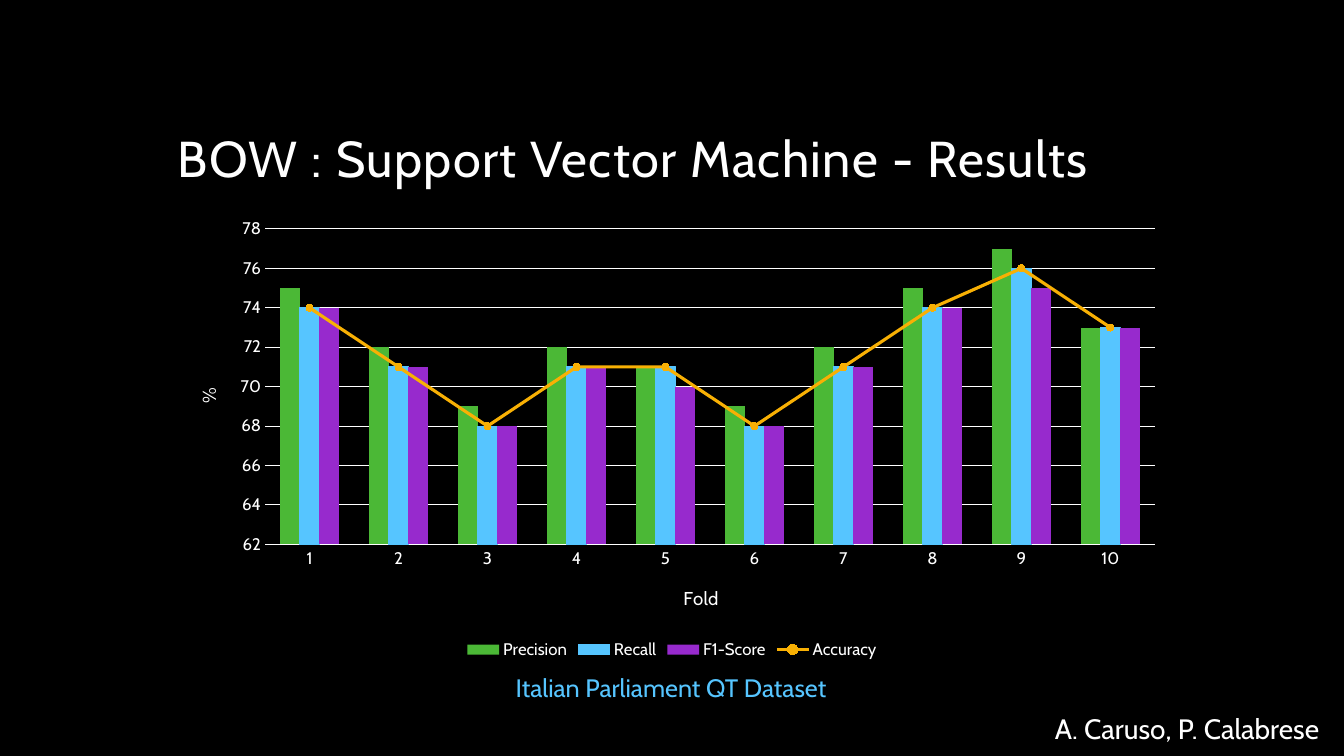
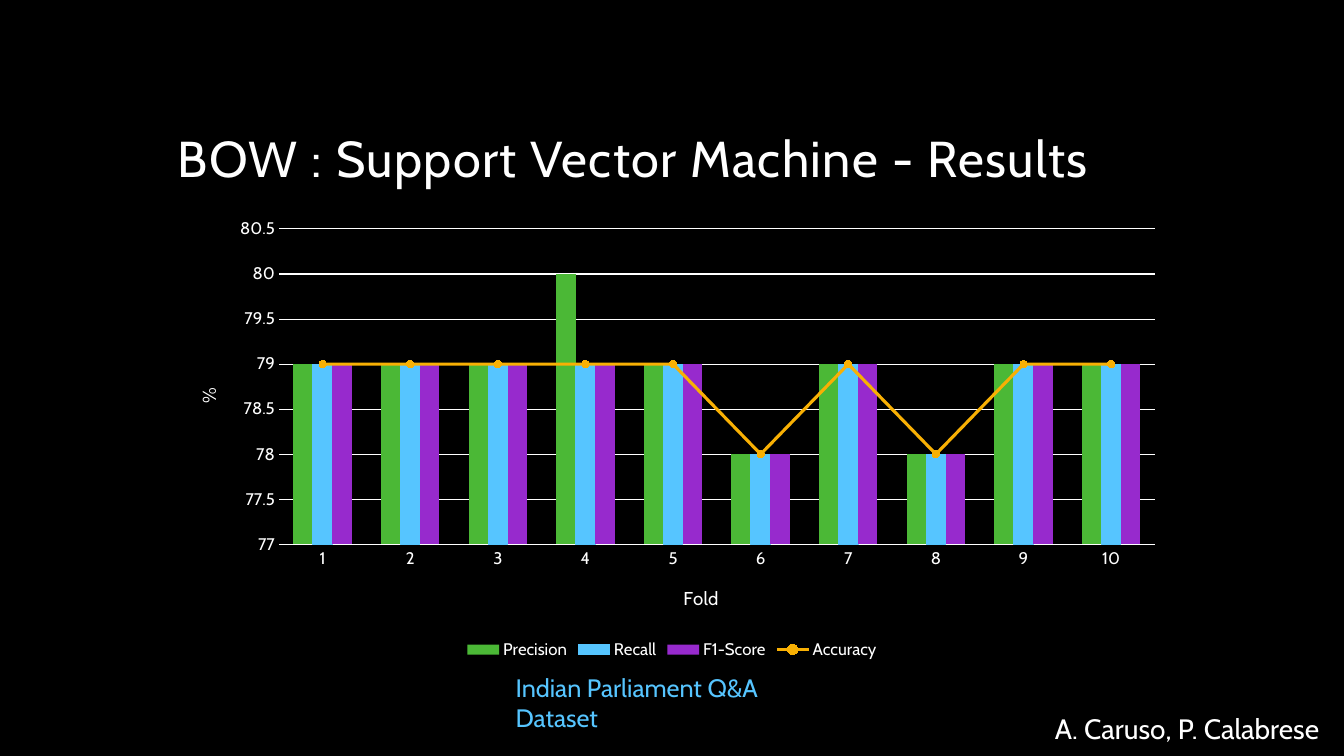
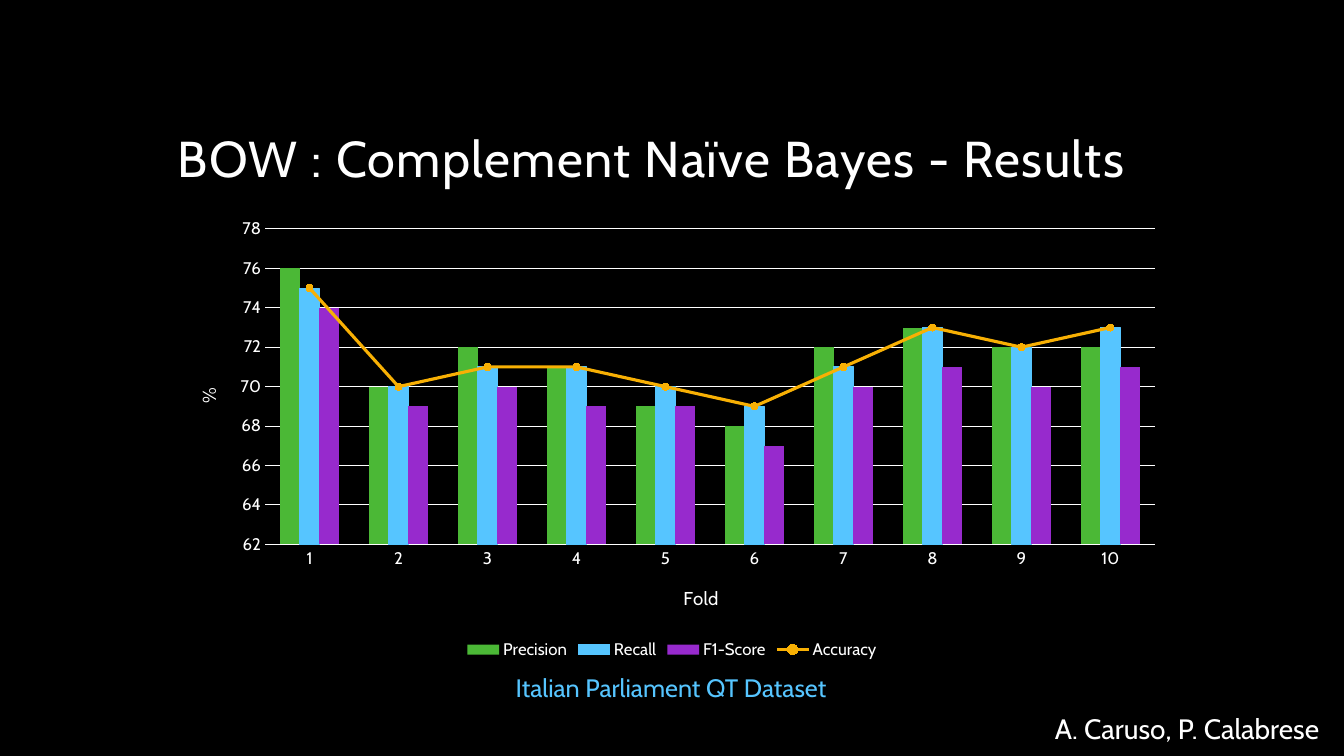
import pptx
import pptx.chart.data
import pptx.dml.color
import pptx.enum.chart
import pptx.enum.text
import pptx.oxml
import pptx.oxml.ns
import pptx.util

RGBColor = pptx.dml.color.RGBColor
BLACK = RGBColor(0x00, 0x00, 0x00)
WHITE = RGBColor(0xFF, 0xFF, 0xFF)
GREEN = RGBColor(0x4B, 0xB8, 0x36)
BLUE = RGBColor(0x56, 0xC5, 0xFF)
PURPLE = RGBColor(0x97, 0x2A, 0xCD)
AMBER = RGBColor(0xF8, 0xB0, 0x04)

COLS, ROWS = 160, 90
CHART_COLS, CHART_ROWS = 120, 54
PLOT_TOP, PLOT_RIGHT, PLOT_BOTTOM = 2.26, 117.5, 39.82
FOLDS = [str(n) for n in range(1, 11)]
BAR_COLORS = {"Precision": GREEN, "Recall": BLUE, "F1-Score": PURPLE}
SVM_TITLE = "BOW : Support Vector Machine - Results"
BAYES_TITLE = "BOW : Complement Naïve Bayes - Results"
ITALIAN = "Italian Parliament QT Dataset"
INDIAN = "Indian Parliament Q&A Dataset"
AUTHORS = "A. Caruso, P. Calabrese"

RESULTS = [
    {
        "title": SVM_TITLE, "dataset": ITALIAN, "scale": (62, 78, 2), "plot_left": 11.55,
        "scores": {
            "Precision": [75, 72, 69, 72, 71, 69, 72, 75, 77, 73],
            "Recall": [74, 71, 68, 71, 71, 68, 71, 74, 76, 73],
            "F1-Score": [74, 71, 68, 71, 70, 68, 71, 74, 75, 73],
            "Accuracy": [74, 71, 68, 71, 71, 68, 71, 74, 76, 73],
        },
    },
    {
        "title": SVM_TITLE, "dataset": INDIAN, "scale": (77, 80.5, 0.5), "plot_left": 13.2,
        "scores": {
            "Precision": [79, 79, 79, 80, 79, 78, 79, 78, 79, 79],
            "Recall": [79, 79, 79, 79, 79, 78, 79, 78, 79, 79],
            "F1-Score": [79, 79, 79, 79, 79, 78, 79, 78, 79, 79],
            "Accuracy": [79, 79, 79, 79, 79, 78, 79, 78, 79, 79],
        },
    },
    {
        "title": BAYES_TITLE, "dataset": ITALIAN, "scale": (62, 78, 2), "plot_left": 11.55,
        "scores": {
            "Precision": [76, 70, 72, 71, 69, 68, 72, 73, 72, 72],
            "Recall": [75, 70, 71, 71, 70, 69, 71, 73, 72, 73],
            "F1-Score": [74, 69, 70, 69, 69, 67, 70, 71, 70, 71],
            "Accuracy": [75, 70, 71, 71, 70, 69, 71, 73, 72, 73],
        },
    },
]


def qn(tag):
    return pptx.oxml.ns.qn(tag)


def set_layout(parent, index, **values):
    for old in parent.findall(qn("c:layout")):
        parent.remove(old)
    layout = parent.makeelement(qn("c:layout"), {})
    manual = layout.makeelement(qn("c:manualLayout"), {})
    layout.append(manual)
    for tag, value in values.items():
        manual.append(manual.makeelement(qn("c:" + tag), {"val": str(value)}))
    parent.insert(index, layout)


def move_last_series_to_line(chart):
    plot_area = chart._chartSpace.chart.plotArea
    bars = plot_area.find(qn("c:barChart"))
    ser = bars.findall(qn("c:ser"))[-1]
    for invert in ser.findall(qn("c:invertIfNegative")):
        ser.remove(invert)
    line = pptx.oxml.parse_xml(
        '<c:lineChart xmlns:c="http://schemas.openxmlformats.org/drawingml/2006/chart">'
        '<c:grouping val="standard"/><c:varyColors val="0"/><c:marker val="1"/></c:lineChart>'
    )
    line.insert(2, ser)
    for axis_id in bars.findall(qn("c:axId")):
        line.append(line.makeelement(qn("c:axId"), {"val": axis_id.get("val")}))
    bars.addnext(line)


class Deck:
    font = "Cabin"

    def __init__(self):
        self.prs = pptx.Presentation()
        self.prs.slide_width = pptx.util.Inches(13.33)
        self.prs.slide_height = pptx.util.Inches(7.5)
        fill = self.prs.slide_master.background.fill
        fill.solid()
        fill.fore_color.rgb = BLACK
        self.s = None

    def grid(self, col, row, cols, rows):
        w, h = self.prs.slide_width / COLS, self.prs.slide_height / ROWS
        return [round(v) for v in (col * w, row * h, cols * w, rows * h)]

    def style(self, font, size, color=WHITE):
        font.name = self.font
        font.size = pptx.util.Pt(size)
        font.bold = False
        font.color.rgb = color

    def text(self, text, cell, size, color=WHITE, wrap=True):
        tf = self.s.shapes.add_textbox(*self.grid(*cell)).text_frame
        tf.word_wrap = wrap
        p = tf.paragraphs[0]
        r = p.add_run()
        r.text = text
        self.style(r.font, size, color)
        return tf

    def title(self, text):
        tf = self.text(text, (20, 5, 120, 18), 36)
        tf.vertical_anchor = pptx.enum.text.MSO_ANCHOR.BOTTOM
        p = tf.paragraphs[0]
        p.line_spacing = 0.9
        p.runs[0].font._element.set("spc", "100")

    def axis_title(self, axis, text, col, row, rotation=0):
        tf = axis.axis_title.text_frame
        r = tf.paragraphs[0].add_run()
        r.text = text
        self.style(r.font, 13.3)
        body = tf._txBody.find(qn("a:bodyPr"))
        body.set("rot", str(rotation * 60000))
        body.set("vert", "horz")
        set_layout(axis.axis_title._element, 1, xMode="edge", yMode="edge",
                   x=col / CHART_COLS, y=row / CHART_ROWS)

    def axis(self, axis):
        axis.major_tick_mark = pptx.enum.chart.XL_TICK_MARK.NONE
        axis.minor_tick_mark = pptx.enum.chart.XL_TICK_MARK.NONE
        self.style(axis.tick_labels.font, 12)

    def outline(self, line, color, width):
        line.color.rgb = color
        line.width = pptx.util.Pt(width)

    def paint(self, fill, color):
        fill.solid()
        fill.fore_color.rgb = color

    def chart(self, scores, scale, plot_left):
        data = pptx.chart.data.CategoryChartData()
        data.categories = FOLDS
        for name, values in scores.items():
            data.add_series(name, values)
        cell = self.grid(20, 25, CHART_COLS, CHART_ROWS)
        kind = pptx.enum.chart.XL_CHART_TYPE.COLUMN_CLUSTERED
        chart = self.s.shapes.add_chart(kind, *cell, data).chart
        move_last_series_to_line(chart)
        chart.has_title = False
        self.style(chart.font, 10)
        set_layout(chart._chartSpace.chart.plotArea, 0, layoutTarget="inner",
                   xMode="edge", yMode="edge",
                   x=plot_left / CHART_COLS, y=PLOT_TOP / CHART_ROWS,
                   w=(PLOT_RIGHT - plot_left) / CHART_COLS,
                   h=(PLOT_BOTTOM - PLOT_TOP) / CHART_ROWS)

        chart.has_legend = True
        chart.legend.position = pptx.enum.chart.XL_LEGEND_POSITION.BOTTOM
        chart.legend.include_in_layout = False
        self.style(chart.legend.font, 12)

        folds, percent = chart.category_axis, chart.value_axis
        self.axis(folds)
        self.outline(folds.format.line, WHITE, 0.75)
        self.axis_title(folds, "Fold", 60.95, 44.3)
        self.axis(percent)
        percent.format.line.fill.background()
        percent.minimum_scale, percent.maximum_scale, percent.major_unit = scale
        self.outline(percent.major_gridlines.format.line, WHITE, 0.75)
        self.axis_title(percent, "%", 2.9, 20.8, -90)

        bars, line = chart.plots
        bars.gap_width = 150
        bars.overlap = 0
        bars.vary_by_categories = False
        for ser in bars.series:
            color = BAR_COLORS[ser.name]
            self.paint(ser.format.fill, color)
            ser.format.line.fill.background()
            if ser.name == "Recall":
                self.outline(ser.format.line, color, 0.75)

        accuracy = line.series[0]
        accuracy.smooth = False
        self.outline(accuracy.format.line, AMBER, 2.25)
        marker = accuracy.marker
        marker.style = pptx.enum.chart.XL_MARKER_STYLE.CIRCLE
        marker.size = 5
        self.paint(marker.format.fill, AMBER)
        self.outline(marker.format.line, AMBER, 0.75)

    def result(self, title, dataset, scores, scale, plot_left):
        self.s = self.prs.slides.add_slide(self.prs.slide_layouts[6])
        self.title(title)
        self.chart(scores, scale, plot_left)
        self.text(AUTHORS, (124.4, 84.1, 33.9, 5.3), 20, wrap=False)
        self.text(dataset, (60.2, 79.4, 40.8, 4.8), 18, BLUE)


def main():
    deck = Deck()
    for result in RESULTS:
        deck.result(**result)
    deck.prs.save("out.pptx")


if __name__ == "__main__":
    main()
